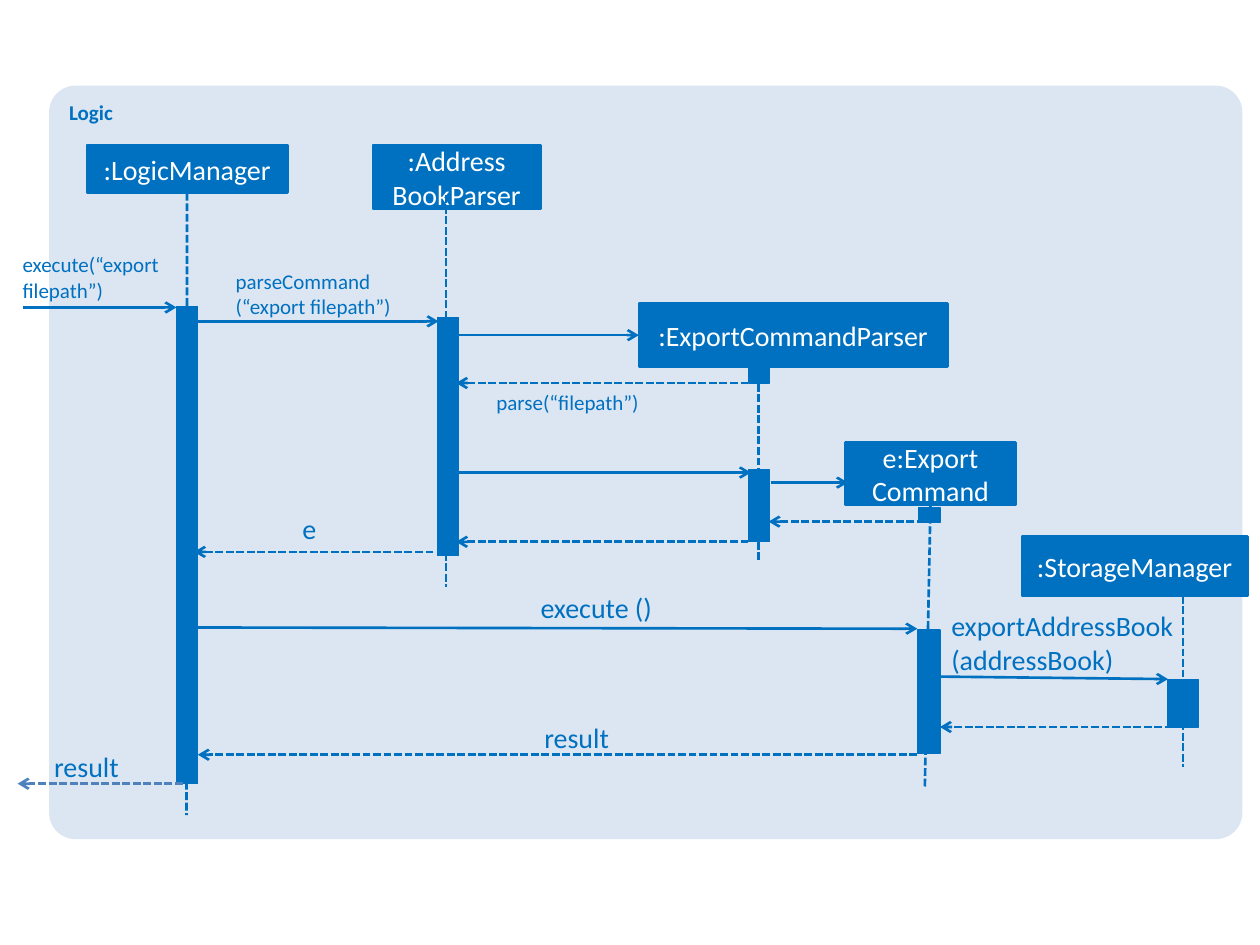
from pptx import Presentation
from pptx.dml.color import RGBColor
from pptx.enum.dml import MSO_LINE
from pptx.enum.shapes import MSO_CONNECTOR, MSO_SHAPE
from pptx.enum.text import MSO_ANCHOR, MSO_AUTO_SIZE, PP_ALIGN
from pptx.oxml.ns import qn
from pptx.util import Inches, Pt
from lxml import etree

RECT = MSO_SHAPE.RECTANGLE
ROUND = MSO_SHAPE.ROUNDED_RECTANGLE
LINE = MSO_CONNECTOR.STRAIGHT
DASH = MSO_LINE.SQUARE_DOT
MIDDLE = MSO_ANCHOR.MIDDLE
TOP = MSO_ANCHOR.TOP
LEFT = PP_ALIGN.LEFT
CENTER = PP_ALIGN.CENTER
GROW = MSO_AUTO_SIZE.SHAPE_TO_FIT_TEXT

BLUE = "0070C0"
STEEL = "4F81BD"
PALE = "DCE6F2"
WHITE = "FFFFFF"
BOTTOM_SITE, LEFT_SITE = 2, 1

HEADS = {
    "logic": (":LogicManager", 0.69, 1.15, 1.59, 0.38),
    "book": (":Address\nBookParser", 2.96, 1.15, 1.33, 0.51),
    "parser": (":ExportCommandParser", 5.07, 2.41, 2.45, 0.5),
    "command": ("e:Export\vCommand", 6.71, 3.51, 1.35, 0.5),
    "storage": (":StorageManager", 8.11, 4.26, 1.79, 0.47),
}
LIVES = [
    (1.48, 1.53, 1.48, 6.47, "logic"),
    (3.54, 1.55, 3.54, 4.66, None),
    (6.02, 2.88, 6.02, 4.46, None),
    (7.38, 4.01, 7.34, 6.25, "command"),
    (9.39, 4.73, 9.39, 6.09, None),
]
BARS = [
    (1.4, 2.43, 0.17, 3.79),
    (3.47, 2.52, 0.17, 1.89),
    (5.94, 2.88, 0.17, 0.16),
    (5.94, 3.73, 0.17, 0.57),
    (7.29, 4.03, 0.17, 0.12),
    (7.28, 5, 0.18, 0.98),
    (9.27, 5.39, 0.24, 0.38),
]
CALLS = [
    (0.18, 2.44, 1.4, 2.44),
    (1.54, 2.55, 3.48, 2.55),
    (3.62, 3.75, 5.96, 3.75),
    (6.12, 3.83, 6.73, 3.83),
    (1.48, 4.98, 7.28, 4.99),
    (7.45, 5.37, 9.27, 5.39),
]
REPLIES = [
    (5.94, 3.62, 3.04, BLUE),
    (7.34, 6.1, 4.14, BLUE),
    (5.94, 3.62, 4.3, BLUE),
    (3.44, 1.54, 4.38, BLUE),
    (9.39, 7.46, 5.77, BLUE),
    (7.28, 1.57, 5.99, BLUE),
    (1.45, 0.14, 6.22, STEEL),
]
LABELS = [
    ("execute(“export filepath”)", 0.18, 2, 1.34, 0.4, 12),
    ("parseCommand\n(“export filepath”)", 1.87, 2.13, 1.81, 0.4, 12),
    ("parse(“filepath”)", 3.94, 3.09, 2.13, 0.2, 12),
    ("e", 2.4, 4.06, 0.24, 0.27, 16),
    ("execute ()", 4.29, 4.69, 1.02, 0.27, 16),
    ("exportAddressBook(addressBook)", 7.55, 4.83, 1.81, 0.54, 16),
    ("result", 4.32, 5.72, 0.68, 0.27, 16),
    ("result", 0.43, 5.95, 0.64, 0.27, 16),
]


def color(code):
    return RGBColor.from_string(code)


def write(frame, text, size, ink, align=LEFT, bold=False):
    frame.word_wrap = True
    frame.text = text
    for para in frame.paragraphs:
        para.alignment = align
        for run in para.runs:
            run.font.name = "Calibri"
            run.font.size = Pt(size)
            run.font.bold = bold
            run.font.color.rgb = color(ink)


def add_box(slide, kind, x, y, w, h, fill, width=None):
    box = slide.shapes.add_shape(kind, Inches(x), Inches(y), Inches(w), Inches(h))
    box.shadow.inherit = False
    box.fill.solid()
    box.fill.fore_color.rgb = color(fill)
    if width:
        box.line.color.rgb = color(fill)
        box.line.width = Pt(width)
    else:
        box.line.fill.background()
    return box


def add_panel(slide):
    panel = add_box(slide, ROUND, 0.39, 0.68, 9.47, 5.98, PALE)
    panel.adjustments[0] = 0.035
    panel.text_frame.vertical_anchor = TOP
    write(panel.text_frame, "Logic", 12, BLUE, bold=True)


def add_head(slide, text, x, y, w, h):
    head = add_box(slide, RECT, x, y, w, h, BLUE, 1.5)
    head.text_frame.vertical_anchor = MIDDLE
    write(head.text_frame, text, 16, WHITE, CENTER)
    return head


def add_line(slide, x1, y1, x2, y2, ink=BLUE, dash=False, arrow=False):
    line = slide.shapes.add_connector(
        LINE, Inches(x1), Inches(y1), Inches(x2), Inches(y2))
    line.line.color.rgb = color(ink)
    line.line.width = Pt(1.5)
    if dash:
        line.line.dash_style = DASH
    props = line._element.spPr
    if arrow:
        etree.SubElement(props.find(qn("a:ln")), qn("a:tailEnd"), type="arrow")
    etree.SubElement(props, qn("a:effectLst"))
    return line


def add_label(slide, text, x, y, w, h, size):
    box = slide.shapes.add_textbox(Inches(x), Inches(y), Inches(w), Inches(h))
    frame = box.text_frame
    frame.margin_left = frame.margin_right = 0
    frame.margin_top = frame.margin_bottom = 0
    write(frame, text, size, BLUE)
    frame.auto_size = GROW


def main():
    deck = Presentation()
    deck.slide_width = Inches(10)
    deck.slide_height = Inches(7.5)
    slide = deck.slides.add_slide(deck.slide_layouts[6])
    add_panel(slide)
    heads = {name: add_head(slide, *head) for name, head in HEADS.items()}
    for *ends, owner in LIVES:
        life = add_line(slide, *ends, dash=True)
        if owner:
            life.begin_connect(heads[owner], BOTTOM_SITE)
    for bar in BARS:
        add_box(slide, RECT, *bar, BLUE, 0.75)
    for ends in CALLS:
        add_line(slide, *ends, arrow=True)
    create = add_line(slide, 3.62, 2.66, 5.07, 2.66, arrow=True)
    create.end_connect(heads["parser"], LEFT_SITE)
    for start, end, y, ink in REPLIES:
        add_line(slide, start, y, end, y, ink, dash=True, arrow=True)
    for label in LABELS:
        add_label(slide, *label)
    deck.save("out.pptx")


if __name__ == "__main__":
    main()
